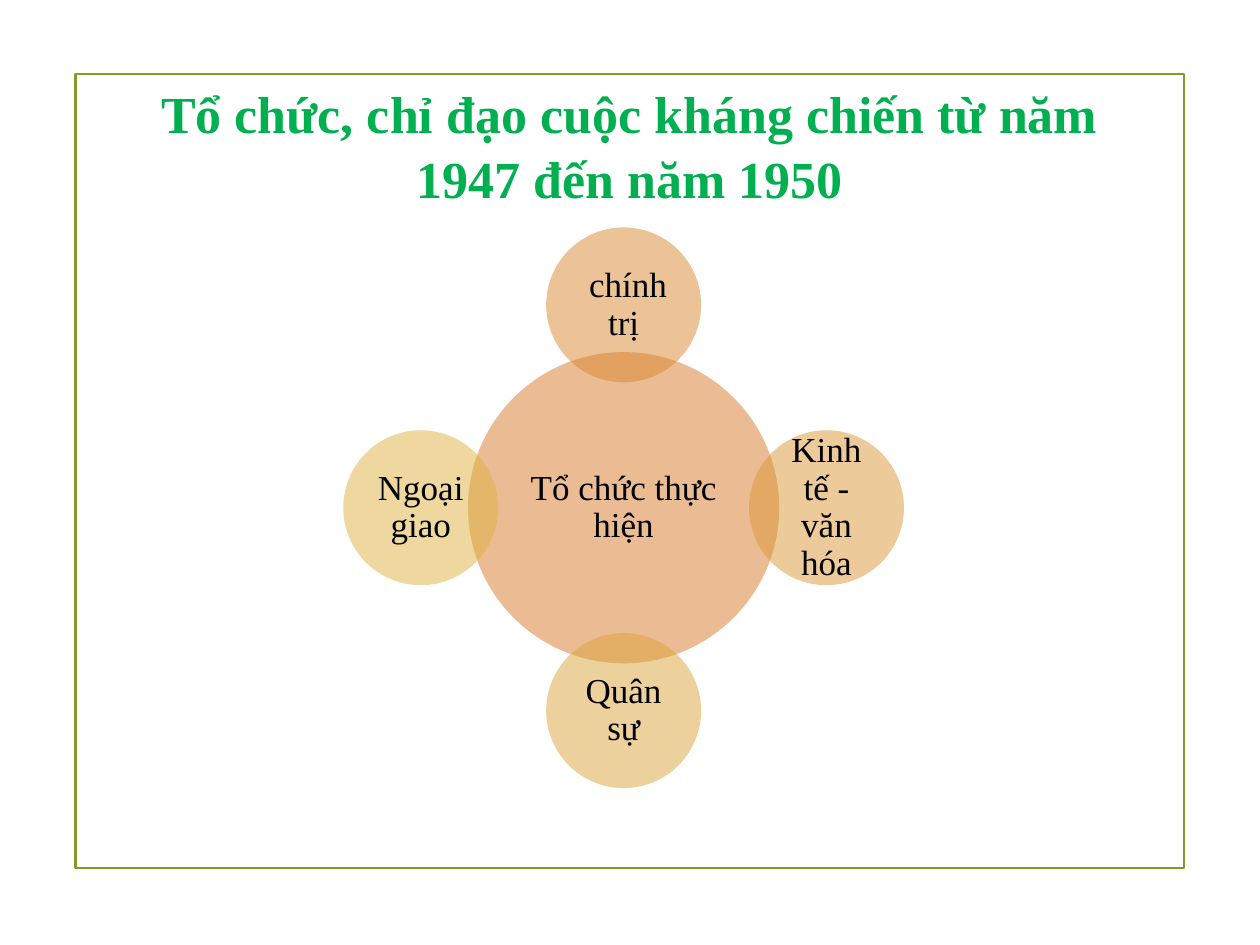
"""Build a slide with a radial diagram of how the resistance was organised from 1947 to 1950."""
from lxml.etree import SubElement
from pptx import Presentation
from pptx.dml.color import RGBColor
from pptx.enum.shapes import MSO_SHAPE
from pptx.enum.text import MSO_ANCHOR, PP_ALIGN
from pptx.oxml.ns import qn
from pptx.util import Inches, Pt

FONT = "Times New Roman"
FRAME_GREEN = RGBColor(0x83, 0x99, 0x2A)
TITLE_GREEN = RGBColor(0x00, 0xB0, 0x50)
BLACK = RGBColor(0x00, 0x00, 0x00)
HUB_ORANGE = RGBColor(0xD9, 0x78, 0x28)
TOP_ORANGE = RGBColor(0xDA, 0x88, 0x2E)
RIGHT_ORANGE = RGBColor(0xDC, 0x97, 0x34)
BOTTOM_GOLD = RGBColor(0xDD, 0xA5, 0x3A)
LEFT_GOLD = RGBColor(0xDE, 0xB3, 0x40)

CENTER_X, CENTER_Y = 4.95, 4.03
HUB_SIZE, SATELLITE_SIZE, ORBIT = 2.47, 1.23, 1.61


def write_text(shape, text, size, color, spacing, bold=False):
    frame = shape.text_frame
    frame.word_wrap = True
    frame.vertical_anchor = MSO_ANCHOR.MIDDLE
    paragraph = frame.paragraphs[0]
    paragraph.alignment = PP_ALIGN.CENTER
    paragraph.line_spacing = spacing
    run = paragraph.add_run()
    run.text = text
    run.font.name = FONT
    run.font.size = Pt(size)
    run.font.bold = bold
    run.font.color.rgb = color
    return frame


presentation = Presentation()
presentation.slide_width = Inches(10)
presentation.slide_height = Inches(7.5)
slide = presentation.slides.add_slide(presentation.slide_layouts[6])

border = slide.shapes.add_shape(
    MSO_SHAPE.RECTANGLE, Inches(0.6), Inches(0.59), Inches(8.8), Inches(6.3)
)
border.shadow.inherit = False
border.fill.background()
border.line.color.rgb = FRAME_GREEN
border.line.width = Pt(1.25)

title = slide.shapes.add_textbox(Inches(0.75), Inches(0.92), Inches(8.5), Inches(0.89))
title_frame = write_text(
    title, "Tổ chức, chỉ đạo cuộc kháng chiến từ năm 1947 đến năm 1950",
    29.7, TITLE_GREEN, 1.05, bold=True,
)
title_frame.margin_bottom = Inches(0.5)

circles = [
    ("Tổ chức thực hiện", HUB_ORANGE, HUB_SIZE, 0, 0),
    (" chính trị", TOP_ORANGE, SATELLITE_SIZE, 0, -1),
    ("Kinh tế - văn hóa", RIGHT_ORANGE, SATELLITE_SIZE, 1, 0),
    ("Quân sự", BOTTOM_GOLD, SATELLITE_SIZE, 0, 1),
    ("Ngoại giao", LEFT_GOLD, SATELLITE_SIZE, -1, 0),
]
for label, color, diameter, step_x, step_y in circles:
    circle = slide.shapes.add_shape(
        MSO_SHAPE.OVAL,
        Inches(CENTER_X + step_x * ORBIT - diameter / 2),
        Inches(CENTER_Y + step_y * ORBIT - diameter / 2),
        Inches(diameter), Inches(diameter),
    )
    circle.shadow.inherit = False
    circle.line.fill.background()
    circle.fill.solid()
    circle.fill.fore_color.rgb = color
    fill_color = circle.element.spPr.find(qn("a:solidFill")).find(qn("a:srgbClr"))
    SubElement(fill_color, qn("a:alpha"), val="50000")
    frame = write_text(circle, label, 20, BLACK, 0.9)
    frame.margin_left = frame.margin_right = Inches(0.03)
    frame.margin_top = frame.margin_bottom = Inches(0.03)

presentation.save("out.pptx")
